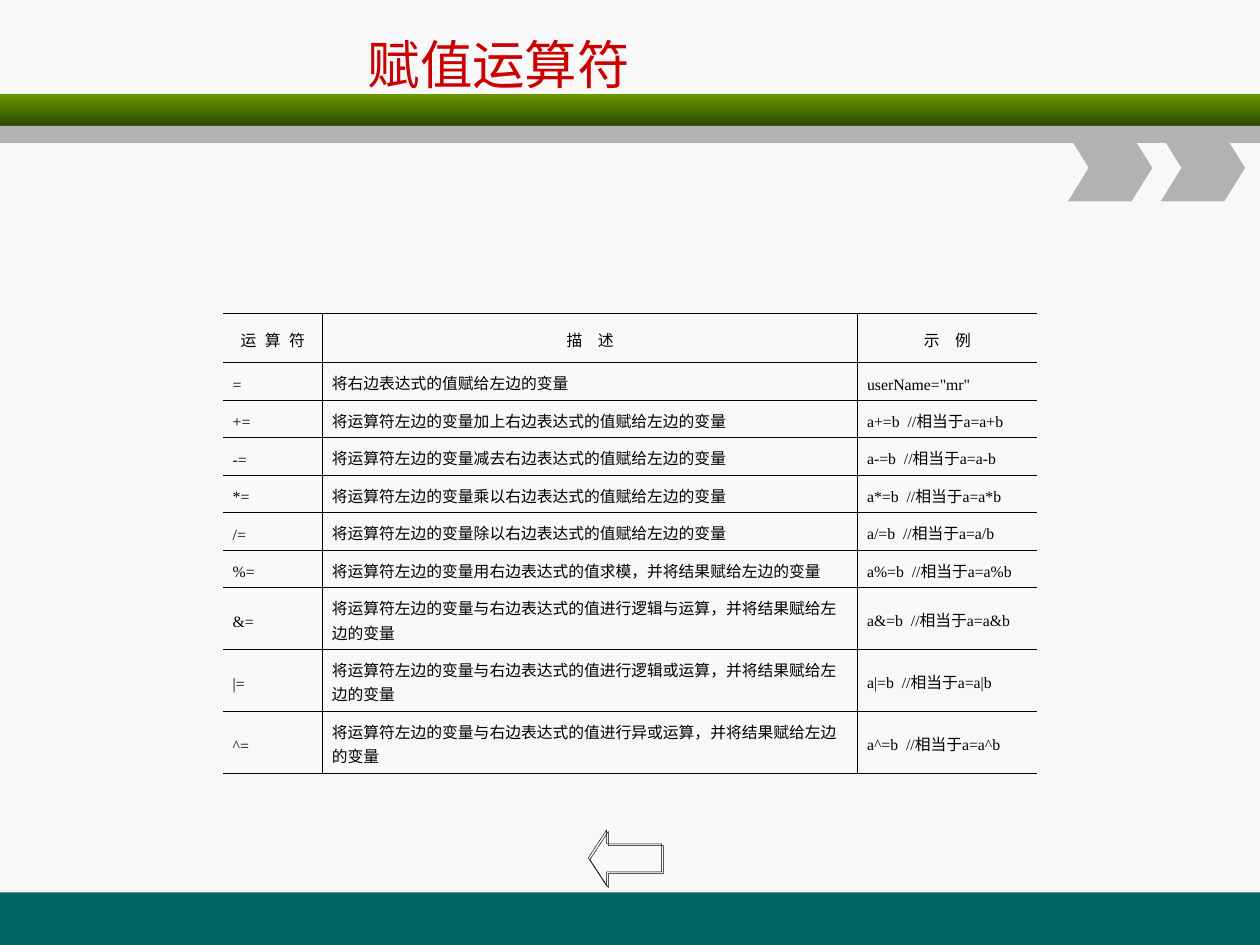
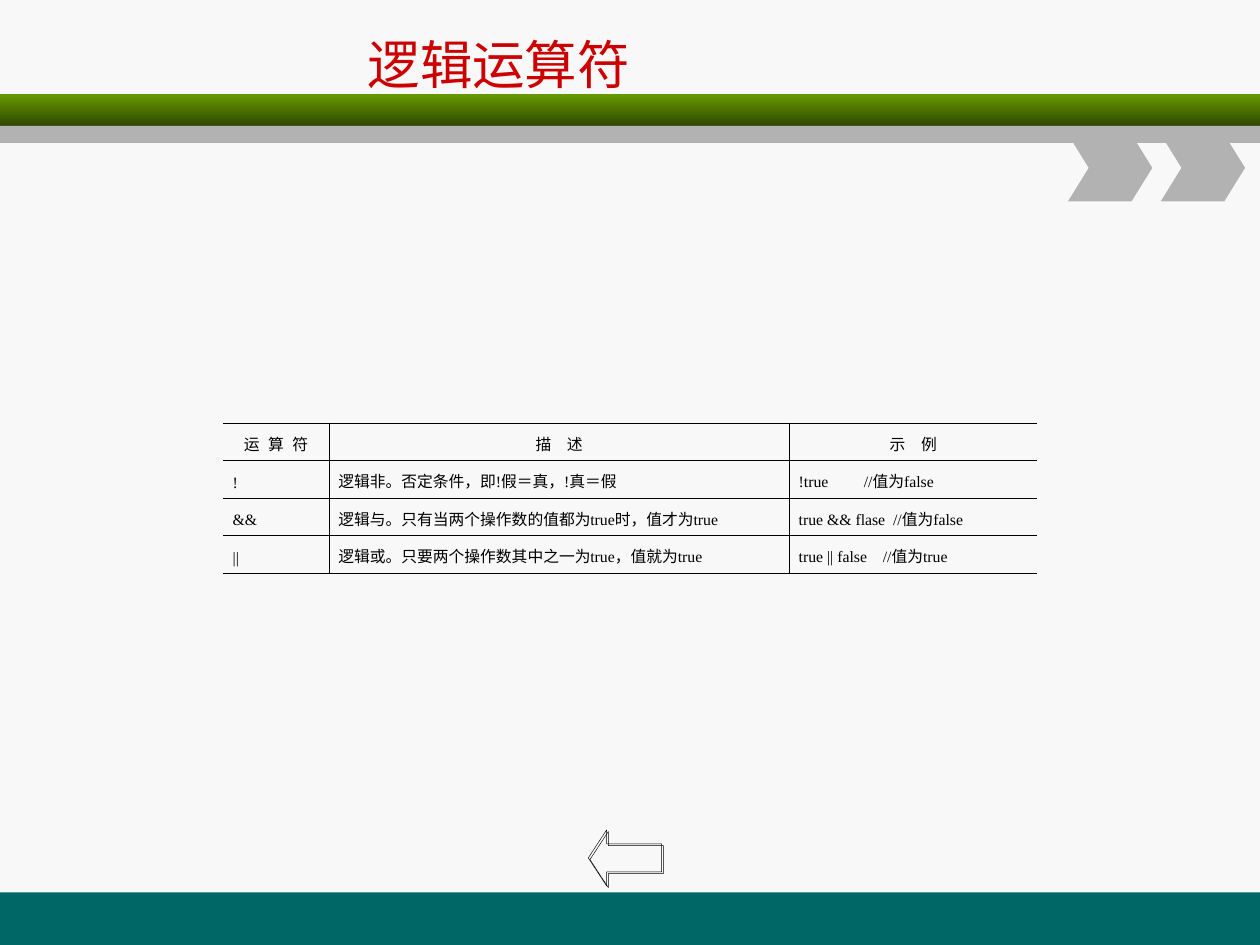
from lxml.etree import SubElement
from pptx import Presentation
from pptx.dml.color import RGBColor as RGB
from pptx.enum.shapes import MSO_SHAPE as SHAPE
from pptx.enum.text import MSO_ANCHOR as ANCHOR, PP_ALIGN as ALIGN
from pptx.oxml import parse_xml
from pptx.oxml.ns import nsdecls, qn
from pptx.util import Cm, Pt

PAPER = RGB(0xF8, 0xF8, 0xF8)
TEAL = RGB(0x00, 0x66, 0x66)
GREEN = RGB(0x66, 0x99, 0x00)
MOSS = RGB(0x2F, 0x47, 0x00)
GREY = RGB(0xB2, 0xB2, 0xB2)
RED = RGB(0xCC, 0x00, 0x00)
BLACK = RGB(0x00, 0x00, 0x00)

WIDE, HIGH = 25.4, 19.05
SANS, HEAD, BODY = "DejaVu Sans", "Arial", "Times New Roman"
PLAIN = "{2D5ABB26-0587-4C30-8999-92F81FD0307C}"  # table style without grid
ONE, TWO = 0.75, 1.24  # heights of rows with one and two lines

# Head cells: text and letter spacing in hundredths of a point
HEADS = [("运 算 符", 100), ("描 述", 300), ("示 例", 300)]

SUMS = [
    ("+=", "将运算符左边的变量加上右边表达式的值赋给左边的变量"),
    ("-=", "将运算符左边的变量减去右边表达式的值赋给左边的变量"),
    ("*=", "将运算符左边的变量乘以右边表达式的值赋给左边的变量"),
    ("/=", "将运算符左边的变量除以右边表达式的值赋给左边的变量"),
    ("%=", "将运算符左边的变量用右边表达式的值求模，并将结果赋给左边的变量"),
    ("&=", "将运算符左边的变量与右边表达式的值进行逻辑与运算，并将结果赋给左边的变量"),
    ("|=", "将运算符左边的变量与右边表达式的值进行逻辑或运算，并将结果赋给左边的变量"),
    ("^=", "将运算符左边的变量与右边表达式的值进行异或运算，并将结果赋给左边的变量"),
]
ASSIGN = [("=", "将右边表达式的值赋给左边的变量", 'userName="mr"')] + [
    (sign, note, f"a{sign}b  //相当于a=a{sign[0]}b") for sign, note in SUMS
]
LOGIC = [
    ("!", "逻辑非。否定条件，即!假＝真，!真＝假", "!true         //值为false"),
    ("&&", "逻辑与。只有当两个操作数的值都为true时，值才为true",
     "true && flase  //值为false"),
    ("||", "逻辑或。只要两个操作数其中之一为true，值就为true",
     "true || false    //值为true"),
]


def add_run(para, text, size, face, color, gap=0):
    run = para.add_run()
    run.text = text
    run.font.size = Pt(size)
    run.font.name = face
    run.font.color.rgb = color
    props = run.font._element
    props.set("lang", "zh-CN")
    if gap:
        props.set("spc", str(gap))
    SubElement(props, qn("a:ea"), typeface=SANS)


def add_part(slide, kind, box, color=None):
    part = slide.shapes.add_shape(kind, *map(Cm, box))
    part.shadow.inherit = False
    part.line.fill.background()
    if color is None:
        part.fill.background()
    else:
        part.fill.solid()
        part.fill.fore_color.rgb = color
    return part


def add_band(slide, top):
    """Green and grey stripes with two chevrons hanging at the right."""
    green = add_part(slide, SHAPE.RECTANGLE, (0, top, WIDE, 0.65))
    green.fill.gradient()
    green.fill.gradient_angle = 270
    for stop, color, place in zip(green.fill.gradient_stops, (GREEN, MOSS), (0, 1)):
        stop.color.rgb = color
        stop.position = place
    add_part(slide, SHAPE.RECTANGLE, (0, top + 0.64, WIDE, 0.34), GREY)
    for i in range(2):
        box = (21.53 + 1.87 * i, top + 0.81, 1.7, 1.35)
        add_part(slide, SHAPE.CHEVRON, box, GREY).adjustments[0] = 0.31


def add_arrow(slide, box):
    """Outlined back arrow with a hard shadow."""
    arrow = add_part(slide, SHAPE.LEFT_ARROW, box)
    arrow.adjustments[1] = 0.328
    arrow.line.color.rgb = BLACK
    arrow.line.width = Pt(0.25)
    glow = arrow._element.spPr.find(qn("a:effectLst"))
    glow.append(parse_xml(
        f'<a:outerShdw {nsdecls("a")} dist="17780" dir="2700000" algn="ctr" '
        f'rotWithShape="0"><a:srgbClr val="{BLACK}"/></a:outerShdw>'))


def add_title(slide, text, box):
    frame = slide.shapes.add_textbox(*map(Cm, box)).text_frame
    frame.word_wrap = True
    frame.vertical_anchor = ANCHOR.MIDDLE
    add_run(frame.paragraphs[0], text, 30, SANS, RED)


def add_edges(cell, sides):
    props = cell._tc.get_or_add_tcPr()
    for i, side in enumerate(sides):
        props.insert(i, parse_xml(
            f'<a:ln{side} {nsdecls("a")} w="5715"><a:solidFill>'
            f'<a:srgbClr val="{BLACK}"/></a:solidFill></a:ln{side}>'))


def fill_cell(cell, text, face, sides, align, gap=0):
    cell.fill.background()
    cell.vertical_anchor = ANCHOR.MIDDLE
    cell.margin_left = cell.margin_right = Cm(0.19)
    cell.margin_top = cell.margin_bottom = Cm(0.13)
    para = cell.text_frame.paragraphs[0]
    para.alignment = align
    para.line_spacing = Pt(14)
    add_run(para, text, 9, face, BLACK, gap)
    add_edges(cell, sides)


def add_grid(slide, rows, left, top, widths, heights):
    """Operator table, ruled between cells and open at both sides."""
    size = (left, top, sum(widths), sum(heights))
    grid = slide.shapes.add_table(len(rows) + 1, len(widths), *map(Cm, size)).table
    grid.first_row = grid.horz_banding = False
    grid._tbl.tblPr.find(qn("a:tableStyleId")).text = PLAIN
    for col, width in zip(grid.columns, widths):
        col.width = Cm(width)
    for row, height in zip(grid.rows, heights):
        row.height = Cm(height)
    edges = ("RTB", "LRTB", "LTB")
    for c, (text, gap) in enumerate(HEADS):
        fill_cell(grid.cell(0, c), text, HEAD, edges[c], ALIGN.CENTER, gap)
    for r, texts in enumerate(rows, 1):
        for c, text in enumerate(texts):
            fill_cell(grid.cell(r, c), text, BODY, edges[c], ALIGN.LEFT)


def add_page(deck, title, rows, top, widths, heights):
    slide = deck.slides.add_slide(deck.slide_layouts[6])
    slide.background.fill.solid()
    slide.background.fill.fore_color.rgb = PAPER
    # Shared frame
    add_part(slide, SHAPE.RECTANGLE, (0, 17.99, WIDE, HIGH - 17.99), TEAL)
    add_band(slide, 1.9)
    add_arrow(slide, (11.86, 16.73, 1.48, 1.13))
    # Content
    add_title(slide, title, (7.16, 0.43, 11.33, 1.7))
    add_grid(slide, rows, 4.5, top, widths, heights)


def main():
    deck = Presentation()
    deck.slide_width, deck.slide_height = Cm(WIDE), Cm(HIGH)
    add_page(deck, "赋值运算符", ASSIGN, 6.32, (2, 10.79, 3.62),
             [0.99] + [ONE] * 6 + [TWO] * 3)
    add_page(deck, "逻辑运算符", LOGIC, 8.53, (2.13, 9.28, 5), [ONE] * 4)
    deck.save("out.pptx")


if __name__ == "__main__":
    main()
